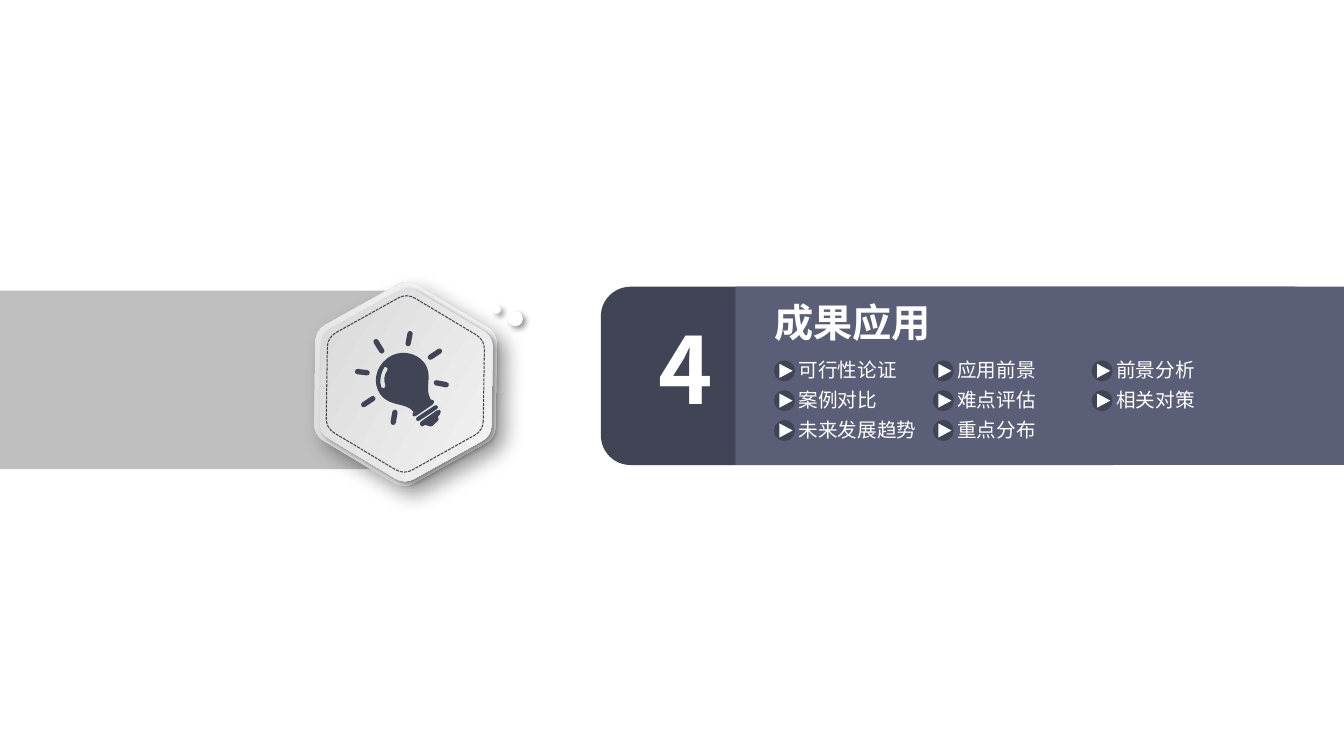
"""Build the section slide: a badge with a light bulb beside a numbered topic panel."""
from dataclasses import dataclass
from math import cos, hypot, pi, radians, sin
from typing import Any, NamedTuple

from lxml import etree
from pptx import Presentation
from pptx.dml.color import RGBColor
from pptx.enum.dml import MSO_LINE
from pptx.enum.shapes import MSO_SHAPE
from pptx.enum.text import MSO_ANCHOR, PP_ALIGN
from pptx.oxml.ns import qn
from pptx.util import Pt

RECT, ROUND = MSO_SHAPE.RECTANGLE, MSO_SHAPE.ROUNDED_RECTANGLE
OVAL, ARROW = MSO_SHAPE.OVAL, MSO_SHAPE.ISOSCELES_TRIANGLE
DASH, MIDDLE = MSO_LINE.SQUARE_DOT, MSO_ANCHOR.MIDDLE
LEFT, CENTER = PP_ALIGN.LEFT, PP_ALIGN.CENTER

Point = tuple[float, float]
Curve = list[tuple[float, ...]]


@dataclass(frozen=True)
class Theme:
    font: str = "Noto Sans CJK SC"
    dark: str = "414455"
    slate: str = "5B5E77"
    band: str = "BFBFBF"
    white: str = "FFFFFF"
    black: str = "000000"
    shade: str = "D3D3D3"
    light: str = "F9F9F9"
    number: int = 66
    title: int = 28
    item: int = 14


class Box(NamedTuple):
    left: float
    top: float
    width: float
    height: float


class Shadow(NamedTuple):
    blur: float
    dist: float


class Hex(NamedTuple):
    x: float
    y: float
    radius: float
    angle: float | None = None
    shadow: Shadow | None = None


class Label(NamedTuple):
    text: str
    box: Box
    size: int
    bold: bool = False
    align: PP_ALIGN = LEFT
    inset: Point = (0, 0)


class Bar(NamedTuple):
    start: Point
    end: Point
    radius: float = 1.9


THEME = Theme()
SOFT = Shadow(4, 3)
TILT = 30.9
BULB_TILT = -35.5
BULB_MID = (289.4, 272.9)

HEXES = [Hex(289.8, 274.4, 74.8, 90, Shadow(15, 9)), Hex(290.3, 275, 70.8, 0, SOFT)]
STITCH = Hex(289.7, 274.3, 64.8)
DOTS = [Box(352.1, 218.2, 5.8, 5.8), Box(362.9, 222.2, 10.8, 10.8)]
PANELS = [(ROUND, Box(429.4, 204.8, 516.2, 127.4), THEME.dark),
          (RECT, Box(525.6, 204.8, 434.9, 127.4), THEME.slate)]
HEADS = [Label("4", Box(468.7, 219, 43.2, 87.1), THEME.number, True, CENTER),
         Label("成果应用", Box(548.5, 210.4, 215.3, 39.6), THEME.title, True, LEFT, (5, 2.9))]

ITEMS = [["可行性论证", "应用前景", "前景分析"],
         ["案例对比", "难点评估", "相关对策"],
         ["未来发展趋势", "重点分布"]]
GRID_X, GRID_Y, STEP_X, STEP_Y = 554.1, 258.4, 113.5, 21.3
WIDTHS = [96.5, 96.5, 118.8]

BARS = [Bar((273.2, 250.4), (269.1, 243.8)), Bar((262.7, 266), (255.9, 265.2)),
        Bar((266.8, 284.5), (260.3, 288.8)), Bar((282.6, 294.3), (281.4, 301.4)),
        Bar((312.2, 273.2), (319.2, 274.6)), Bar((308, 254.9), (314.4, 250.6)),
        Bar((292, 245.2), (293.4, 238.1)), Bar((311.8, 290.7), (299.2, 299), 1.5)]
GLASS = [(310.3, 285.8), (311, 286.6, 310.3, 288, 309.6, 288.7), (298.1, 296.6),
         (296.6, 297.4, 295.9, 297.4, 295.2, 296.6),
         (295.2, 295.9, 295.2, 294.5, 295.9, 293.8),
         (289.4, 286.6, 279.4, 290.9, 272.2, 281.5),
         (266.4, 273.6, 268.6, 262.1, 277.2, 255.6),
         (285.8, 249.1, 298.1, 251.3, 303.8, 259.2),
         (310.3, 268.6, 303.1, 276.5, 308.2, 285.1),
         (308.9, 285.1, 309.6, 285.1, 310.3, 285.8)]
GLINT = [(276.5, 262.1), (275.8, 261.4, 275, 262.1, 275, 262.1),
         (272.2, 267.1, 271.4, 272.2, 272.9, 276.5),
         (273.6, 277.2, 274.3, 277.2, 275, 277.2),
         (275.8, 276.5, 275.8, 275.8, 275.8, 275),
         (274.3, 271.4, 275, 267.1, 277.2, 264.2),
         (277.9, 263.5, 277.2, 262.1, 276.5, 262.1)]
BASE = [(312.5, 293), (301, 301), (300.2, 301.7, 300.2, 303.1, 301, 303.8),
        (301.7, 304.6, 302.4, 304.6, 303.1, 303.8),
        (303.8, 303.1, 304.6, 303.1, 306, 303.8),
        (307.4, 304.6, 308.9, 304.6, 309.6, 303.8), (311.8, 301.7),
        (313.2, 301, 313.9, 299.5, 313.9, 298.8), (313.2, 298.1),
        (313.2, 297.4, 313.9, 296.6, 314.6, 295.9),
        (315.4, 295.2, 315.4, 294.5, 315.4, 293.8),
        (315.4, 292.3, 313.9, 292.3, 312.5, 293)]


def apply(target: Any, values: dict[str, Any]) -> None:
    for name, value in values.items():
        setattr(target, name, value)


def paint(shape: Any, fill: str, edge: float = 0) -> None:
    shape.shadow.inherit = False
    shape.fill.solid()
    shape.fill.fore_color.rgb = RGBColor.from_string(fill)
    if edge:
        shape.line.color.rgb = RGBColor.from_string(fill)
        shape.line.width = Pt(edge)
    else:
        shape.line.fill.background()


def cast(shape: Any, shadow: Shadow) -> None:
    effects = shape._element.spPr.find(qn("a:effectLst"))
    outer = etree.SubElement(effects, qn("a:outerShdw"), blurRad=str(Pt(shadow.blur)),
                             dist=str(Pt(shadow.dist)), dir="2700000", algn="tl", rotWithShape="0")
    color = etree.SubElement(outer, qn("a:srgbClr"), val=THEME.black)
    etree.SubElement(color, qn("a:alpha"), val="40000")


def add_block(shapes: Any, kind: MSO_SHAPE, box: Box, fill: str, edge: float = 0) -> Any:
    shape = shapes.add_shape(kind, *map(Pt, box))
    paint(shape, fill, edge)
    return shape


def add_label(shapes: Any, label: Label) -> None:
    frame = shapes.add_textbox(*map(Pt, label.box)).text_frame
    side, edge = map(Pt, label.inset)
    apply(frame, {"word_wrap": True, "vertical_anchor": MIDDLE, "margin_left": side,
                  "margin_right": side, "margin_top": edge, "margin_bottom": edge})
    line = frame.paragraphs[0]
    line.alignment = label.align
    run = line.add_run()
    run.text = label.text
    apply(run.font, {"size": Pt(label.size), "bold": label.bold, "name": THEME.font})
    run.font.color.rgb = RGBColor.from_string(THEME.white)
    etree.SubElement(run._r.get_or_add_rPr(), qn("a:ea"), typeface=THEME.font)


def add_outline(shapes: Any, loops: list[Curve]) -> Any:
    scaled = [[tuple(map(Pt, part)) for part in loop] for loop in loops]
    pen = shapes.build_freeform(*scaled[0][0])
    for index, loop in enumerate(scaled):
        if index:
            pen.move_to(*loop[0])
        pen.add_line_segments([part[-2:] for part in loop[1:]], close=True)
    shape = pen.convert_to_shape()
    parts = [part for loop in scaled for part in loop[1:]]
    for node, part in zip(list(shape._element.iter(qn("a:lnTo"))), parts):
        if len(part) == 6:
            bend = etree.Element(qn("a:cubicBezTo"))
            for x, y in zip(part[::2], part[1::2]):
                etree.SubElement(bend, qn("a:pt"), x=str(x - shape.left), y=str(y - shape.top))
            node.getparent().replace(node, bend)
    return shape


def capsule(bar: Bar) -> Curve:
    (ax, ay), (bx, by) = bar.start, bar.end
    size = bar.radius / hypot(bx - ax, by - ay)
    ux, uy = (bx - ax) * size, (by - ay) * size

    def spot(x: float, y: float, side: int, reach: float = 0) -> Point:
        return x - side * uy + reach * ux, y + side * ux + reach * uy

    far = 4 / 3
    return [spot(bx, by, 1), spot(bx, by, 1, far) + spot(bx, by, -1, far) + spot(bx, by, -1),
            spot(ax, ay, -1), spot(ax, ay, -1, -far) + spot(ax, ay, 1, -far) + spot(ax, ay, 1)]


def turn(part: tuple[float, ...], angle: float) -> tuple[float, ...]:
    (mx, my), c, s = BULB_MID, cos(radians(angle)), sin(radians(angle))
    return tuple(value for x, y in zip(part[::2], part[1::2])
                 for value in (mx + (x - mx) * c - (y - my) * s, my + (x - mx) * s + (y - my) * c))


def blend(a: Point, b: Point, rate: float) -> Point:
    return a[0] + (b[0] - a[0]) * rate, a[1] + (b[1] - a[1]) * rate


def add_hex(shapes: Any, item: Hex, cut: float = 0.11) -> None:
    tips = [(item.x + item.radius * cos(k * pi / 3), item.y + item.radius * sin(k * pi / 3))
            for k in range(6)]
    loop: Curve = []
    for k, tip in enumerate(tips):
        start, end = blend(tip, tips[k - 1], cut), blend(tip, tips[(k + 1) % 6], cut)
        near, next_ = blend(start, tip, 0.5), blend(end, tip, 0.5)
        mid = blend(near, next_, 0.5)
        loop += [start, blend(start, near, 2 / 3) + blend(mid, near, 2 / 3) + mid,
                 blend(mid, next_, 2 / 3) + blend(end, next_, 2 / 3) + end]
    shape = add_outline(shapes, [loop])
    shape.rotation = TILT
    shape.shadow.inherit = False
    if item.shadow:
        shape.fill.gradient()
        shape.fill.gradient_angle = item.angle
        for stop, color in zip(shape.fill.gradient_stops, (THEME.shade, THEME.light)):
            stop.color.rgb = RGBColor.from_string(color)
        shape.line.fill.background()
        cast(shape, item.shadow)
    else:
        shape.fill.background()
        shape.line.color.rgb = RGBColor.from_string(THEME.dark)
        apply(shape.line, {"width": Pt(0.75), "dash_style": DASH})


def add_bulb(shapes: Any) -> None:
    loops = [GLASS, GLINT, BASE] + [capsule(bar) for bar in BARS]
    bulb = add_outline(shapes, [[turn(part, -BULB_TILT) for part in loop] for loop in loops])
    bulb.rotation = BULB_TILT
    paint(bulb, THEME.dark)


def add_item(shapes: Any, text: str, row: int, col: int) -> None:
    x, y = GRID_X + col * STEP_X, GRID_Y + row * STEP_Y
    group = shapes.add_group_shape().shapes
    add_label(group, Label(text, Box(x + 16.6, y - 2.9, WIDTHS[col], 17.3), THEME.item))
    add_block(group, OVAL, Box(x, y, 13, 13), THEME.dark, 2)
    add_block(group, ARROW, Box(x + 2.6, y + 1.8, 10.1, 9.4), THEME.white).rotation = 90


def main() -> None:
    deck = Presentation()
    apply(deck, {"slide_width": Pt(960.5), "slide_height": Pt(540)})
    shapes = deck.slides.add_slide(deck.slide_layouts[6]).shapes
    add_block(shapes, RECT, Box(0, 207.7, 293, 127.4), THEME.band)
    badge = shapes.add_group_shape().shapes
    for item in HEXES:
        add_hex(badge, item)
    add_hex(shapes, STITCH)
    pair = shapes.add_group_shape().shapes
    for dot in DOTS:
        cast(add_block(pair, OVAL, dot, THEME.white), SOFT)
    for panel in PANELS:
        add_block(shapes, *panel)
    for head in HEADS:
        add_label(shapes, head)
    add_bulb(shapes)
    for row, texts in enumerate(ITEMS):
        for col, text in enumerate(texts):
            add_item(shapes, text, row, col)
    deck.save("out.pptx")


if __name__ == "__main__":
    main()
